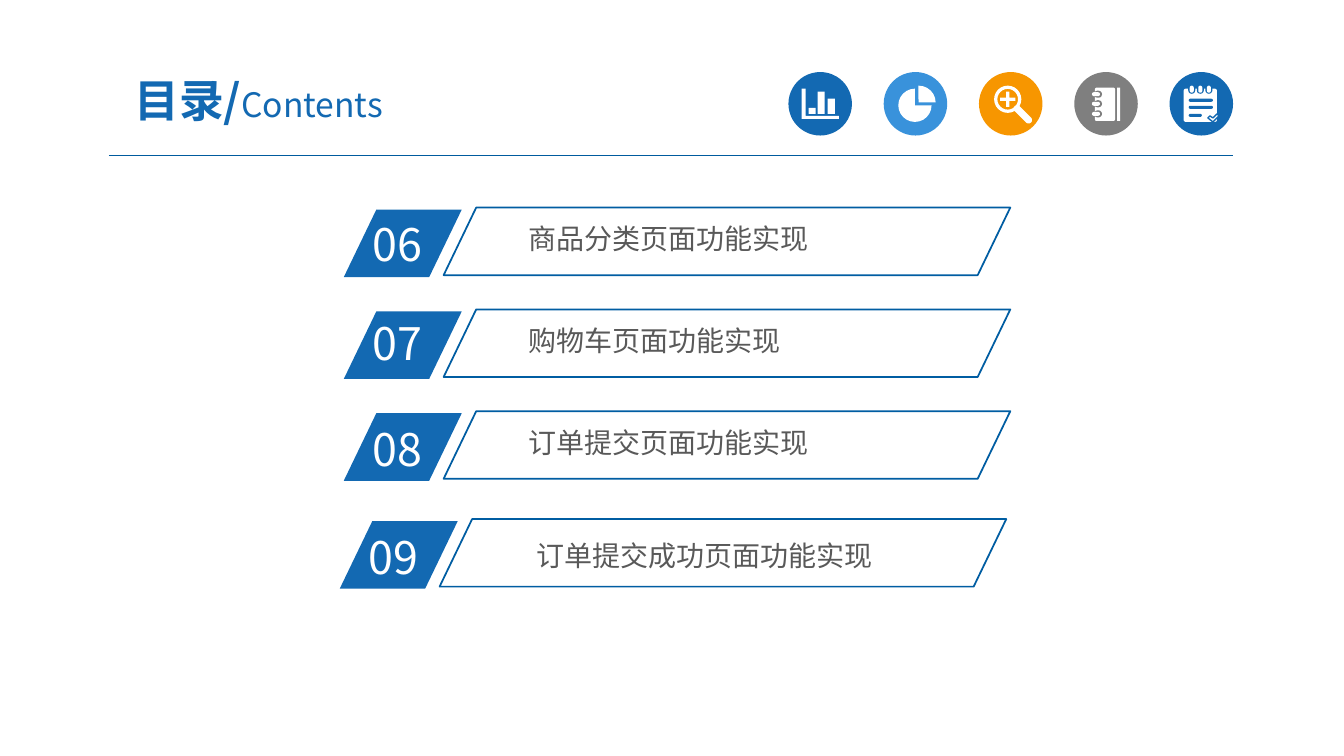
from pptx import Presentation
from pptx.dml.color import RGBColor
from pptx.enum import shapes, text
from pptx.oxml import parse_xml
from pptx.oxml.ns import nsdecls
from pptx.util import Inches, Pt

FACE = "Noto Sans CJK SC"
BLUE, WHITE = "1369B2", "FFFFFF"
KIND = shapes.MSO_SHAPE
PILL, RECT, OVAL = KIND.ROUNDED_RECTANGLE, KIND.RECTANGLE, KIND.OVAL

deck = Presentation()
deck.slide_width, deck.slide_height = Inches(13.33), Inches(7.5)
slide = deck.slides.add_slide(deck.slide_layouts[5])
items = slide.shapes


def draw(kind, box, fill=None, adj=()):
    shape = items.add_shape(kind, *map(Inches, box))
    shape.shadow.inherit = False
    shape.line.fill.background()
    if fill:
        shape.fill.solid()
        shape.fill.fore_color.rgb = RGBColor.from_string(fill)
    else:
        shape.fill.background()
    for i, value in enumerate(adj):
        shape.adjustments[i] = value
    return shape


def style(font, size, tint, bold=False):
    """Set Latin and East Asian faces, size and colour."""
    font.name, font.size, font.bold = FACE, Pt(size), bold
    font.color.rgb = RGBColor.from_string(tint)
    font._rPr.append(parse_xml(f'<a:ea {nsdecls("a")} typeface="{FACE}"/>'))


# Heading
title = items.title
title.left, title.top, title.width, title.height = map(Inches, (0.92, 0.63, 3.29, 0.72))
frame = title.text_frame
frame.margin_left = frame.margin_right = Inches(0.13)
frame.margin_top = frame.margin_bottom = Inches(0.07)
frame.vertical_anchor = text.MSO_ANCHOR.MIDDLE
head = frame.paragraphs[0]
head.alignment = text.PP_ALIGN.CENTER
head.space_before = Pt(0)
for words, size, bold in (("目录/", 32, True), ("Contents", 24, False)):
    run = head.add_run()
    run.text = words
    style(run.font, size, BLUE, bold)

rule = items.add_connector(
    shapes.MSO_CONNECTOR.STRAIGHT, Inches(1.08), Inches(1.54), Inches(12.23), Inches(1.54))
rule.line.color.rgb = RGBColor.from_string("005B9E")
rule.line.width = Pt(0.75)
rule._element.spPr.append(parse_xml(f'<a:effectLst {nsdecls("a")}/>'))

# Round icons: white marks, with cut-outs in the disc colour
discs = [BLUE, "3992DB", "F79600", "7F7F7F", BLUE]
for i, tint in enumerate(discs):
    draw(OVAL, (7.82 + 0.945 * i, 0.715, 0.63, 0.63), tint)

# Outlines of the bar chart and of the notepad's tick
axes = [(7.95, 0.88), (7.99, 0.88), (7.99, 1.15), (8.32, 1.15), (8.32, 1.18), (7.95, 1.18)]
bars = [[(x, y), (x + 0.07, y), (x + 0.07, 1.13), (x, 1.13)]
        for x, y in ((8.02, 1.07), (8.11, 0.91), (8.21, 0.98))]
check = [(11.98, 1.17), (12, 1.15), (12.03, 1.17), (12.07, 1.13), (12.09, 1.15), (12.03, 1.21)]
marks = []
for parts in ([axes, *bars], [check]):
    path = None
    for part in parts:
        start, *rest = [(Inches(x), Inches(y)) for x, y in part]
        if path:
            path.move_to(*start)
        else:
            path = items.build_freeform(*start)
        path.add_line_segments(rest)
    mark = path.convert_to_shape()
    mark.shadow.inherit = False
    mark.fill.solid()
    mark.fill.fore_color.rgb = RGBColor.from_string(WHITE)
    mark.line.fill.background()
    marks.append(mark)
tick = marks[1]
tick.line.color.rgb = RGBColor.from_string(BLUE)
tick.line.width = Pt(1)

# Pie with one quarter pulled out
draw(KIND.PIE, (8.91, 0.88, 0.33, 0.33), WHITE)
draw(KIND.PIE, (8.94, 0.85, 0.34, 0.33), WHITE, [162, 0])

# Magnifier
draw(KIND.DONUT, (9.86, 0.85, 0.27, 0.27), WHITE, [0.12])
draw(KIND.CROSS, (9.92, 0.91, 0.15, 0.15), WHITE, [0.4])
draw(PILL, (10.03, 1.1, 0.23, 0.07), WHITE, [0.5]).rotation = 45

# Notebook
draw(PILL, (10.86, 0.87, 0.2, 0.33), WHITE, [0.08])
draw(RECT, (11.08, 0.87, 0.03, 0.33), WHITE)
for y in (0.935, 1.03, 1.13):
    draw(PILL, (10.85, y - 0.035, 0.08, 0.07), discs[3], [0.5])
    draw(PILL, (10.83, y - 0.02, 0.08, 0.04), WHITE, [0.5])

# Notepad, with the tick brought in front
draw(PILL, (11.74, 0.88, 0.33, 0.33), WHITE, [0.06])
for x in (11.82, 11.905, 11.99):
    draw(PILL, (x - 0.035, 0.84, 0.07, 0.09), BLUE, [0.5])
    draw(PILL, (x - 0.02, 0.85, 0.04, 0.07), WHITE, [0.5])
for y, width in ((0.98, 0.24), (1.05, 0.24), (1.13, 0.13)):
    draw(PILL, (11.79, y, width, 0.03), BLUE, [0.5])
items._spTree.append(tick._element)

# Contents rows: number, topic, bar corner, number top, topic corner
rows = [
    ("06", "商品分类页面功能实现", 4.4, 2.06, 2.1, 5.17, 2.16),
    ("07", "购物车页面功能实现", 4.4, 3.07, 3.08, 5.17, 3.17),
    ("08", "订单提交页面功能实现", 4.4, 4.08, 4.13, 5.17, 4.18),
    ("09", "订单提交成功页面功能实现", 4.36, 5.15, 5.21, 5.25, 5.3),
]
for number, topic, x, y, top, left, base in rows:
    draw(KIND.PARALLELOGRAM, (x - 0.99, y + 0.02, 1.17, 0.67), BLUE, [0.482])
    bar = draw(KIND.PARALLELOGRAM, (x, y, 5.62, 0.67), adj=[0.482])
    bar.line.color.rgb = RGBColor.from_string("005DA2")
    bar.line.width = Pt(1.25)
    for words, box, size, tint, pad in (
        (number, (x - 0.8, top, 1.12, 0.64), 32, WHITE, (0.1, 0.05)),
        (topic, (left, base, 4.12, 0.41), 20, "595959", (0.07, 0.04)),
    ):
        frame = items.add_textbox(*map(Inches, box)).text_frame
        frame.word_wrap = True
        frame.margin_left = frame.margin_right = Inches(pad[0])
        frame.margin_top = frame.margin_bottom = Inches(pad[1])
        frame.text = words
        style(frame.paragraphs[0].font, size, tint)

deck.save("out.pptx")
